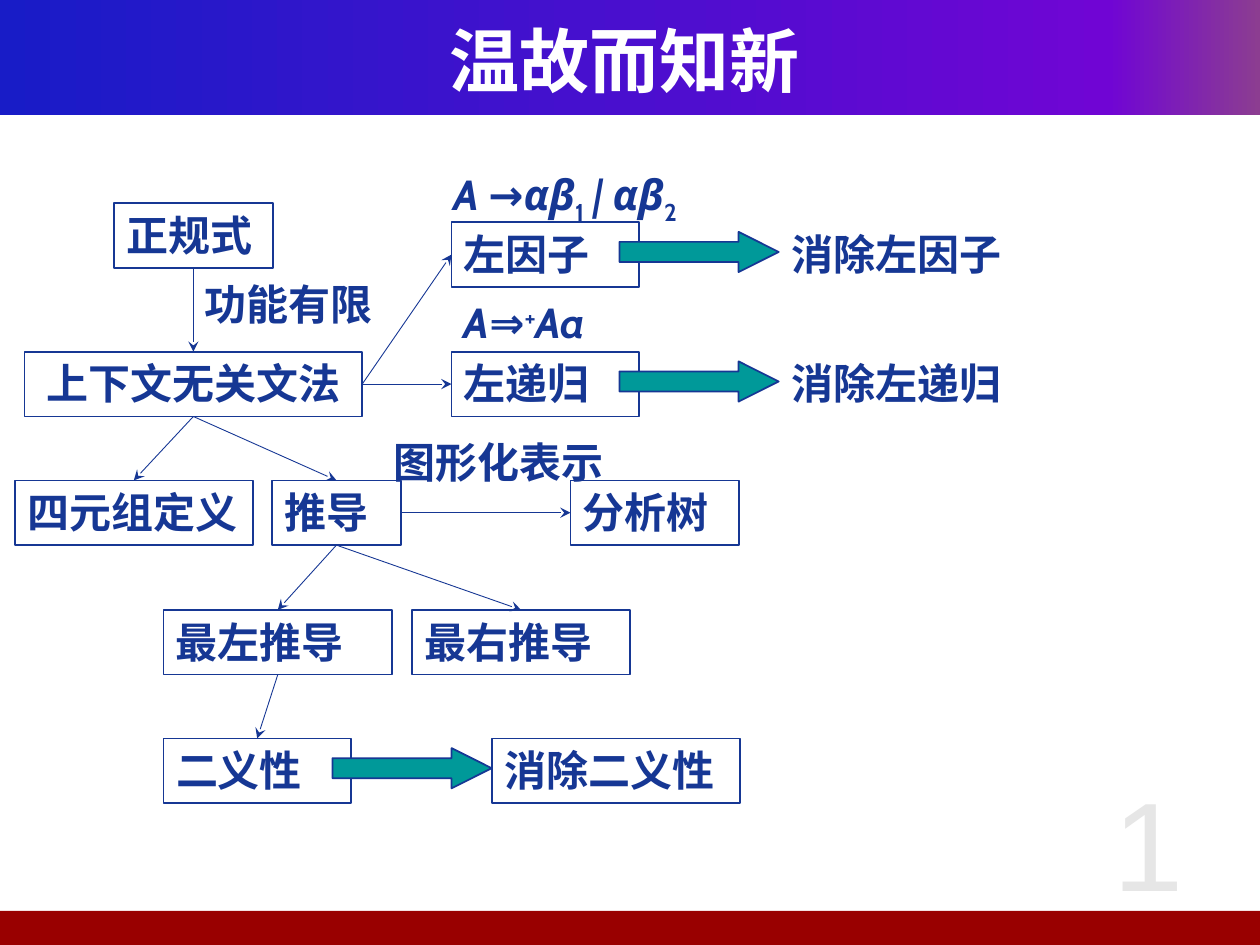
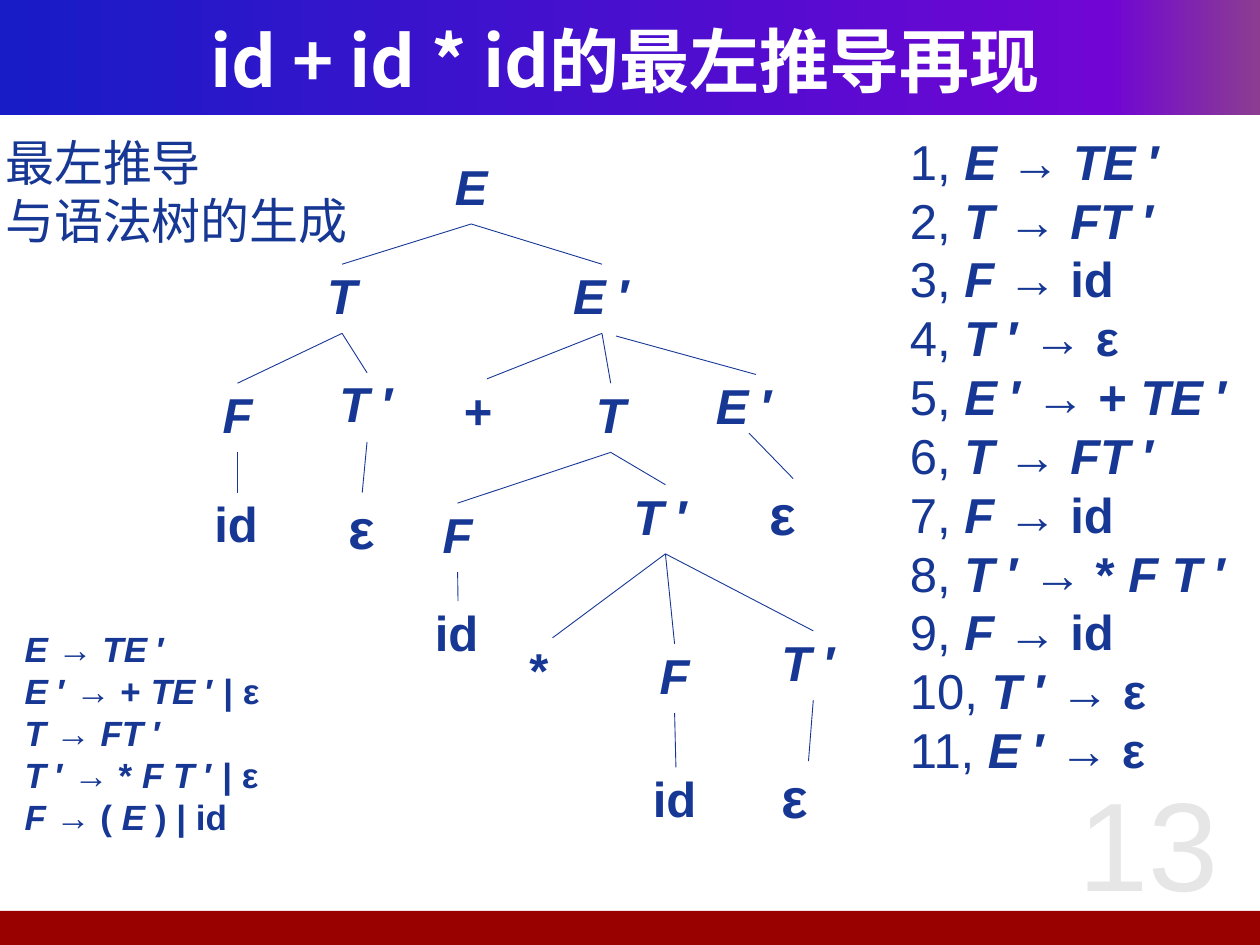
from copy import deepcopy
from itertools import groupby

from lxml import etree
from pptx import Presentation
from pptx.dml.color import RGBColor
from pptx.enum import shapes, text
from pptx.oxml import ns
from pptx.util import Pt

NAVY = RGBColor(0x16, 0x37, 0x94)
TEAL = RGBColor(0x00, 0x99, 0x99)
RED = RGBColor(0x99, 0x00, 0x00)
WHITE = RGBColor(0xFF, 0xFF, 0xFF)
PALE = RGBColor(0xE6, 0xE6, 0xE6)
BAND_STOPS = [(0, RGBColor(0x18, 0x1C, 0xC7)),
              (0.88, RGBColor(0x70, 0x05, 0xD4)),
              (1, RGBColor(0x8C, 0x3D, 0x91))]
CJK = "Noto Sans CJK SC"
LEFT, CENTER = text.PP_ALIGN.LEFT, text.PP_ALIGN.CENTER
RECTANGLE = shapes.MSO_SHAPE.RECTANGLE
TOP, LEFT_SIDE, BOTTOM, RIGHT_SIDE = range(4)  # connection sites of a rectangle


def put_text(holder, paragraphs, size, face, color=NAVY, bold=True, align=LEFT,
             insets=(7.2, 3.6), italics="ETF", anchor=text.MSO_ANCHOR.TOP):
    """Fill a shape; each paragraph is a list of (words, changes) pairs.

    Letters listed in italics are slanted, the others are upright.
    """
    frame = holder.text_frame
    settings = {"word_wrap": True, "auto_size": text.MSO_AUTO_SIZE.NONE,
                "vertical_anchor": anchor,
                "margin_left": Pt(insets[0]), "margin_right": Pt(insets[0]),
                "margin_top": Pt(insets[1]), "margin_bottom": Pt(insets[1])}
    for key, value in settings.items():
        setattr(frame, key, value)
    for index, parts in enumerate(paragraphs):
        paragraph = frame.add_paragraph() if index else frame.paragraphs[0]
        paragraph.alignment = align
        for words, changes in parts:
            for slanted, letters in groupby(words, lambda letter: letter in italics):
                run = paragraph.add_run()
                run.text = "".join(letters)
                look = {"size": Pt(size), "name": face, "bold": bold,
                        "italic": slanted, **changes}
                baseline = look.pop("baseline", None)
                for key, value in look.items():
                    setattr(run.font, key, value)
                run.font.color.rgb = color
                properties = run._r.get_or_add_rPr()
                etree.SubElement(properties, ns.qn("a:ea"), typeface=face)
                if baseline:
                    properties.set("baseline", str(baseline))


def draw_line(slide, start=(0, 0), end=(0, 0)):
    line = slide.shapes.add_connector(shapes.MSO_CONNECTOR.STRAIGHT,
                                      *map(Pt, start + end))
    line.line.color.rgb = NAVY
    line.line.width = Pt(0.5)
    etree.SubElement(line.element.spPr, ns.qn("a:effectLst"))
    return line


deck = Presentation()
deck.slide_width, deck.slide_height = Pt(720), Pt(540)
layout = deck.slide_layouts[5]

# Slides with title and page number
slides = []
for title, page in [("温故而知新", "1"), ("id + id * id的最左推导再现", "13")]:
    slide = deck.slides.add_slide(layout)
    heading = slide.shapes.title
    heading.left, heading.top, heading.width, heading.height = map(Pt, (24, 12, 666, 44.5))
    put_text(heading, [[(title, {})]], 40, CJK, WHITE, align=CENTER,
             anchor=text.MSO_ANCHOR.MIDDLE)
    number = slide.shapes.add_textbox(*map(Pt, (592.5, 434, 127.5, 102)))
    put_text(number, [[(page, {})]], 72, "Arial", PALE, bold=False, align=CENTER)
    slides.append(slide)
review, derivation = slides

# Bands, moved to the shared layout
top_band = review.shapes.add_shape(RECTANGLE, 0, 0, Pt(720), Pt(65.5))
top_band.fill.gradient()
top_band.fill.gradient_angle = 0
stops = top_band.element.find(".//" + ns.qn("a:gsLst"))
stops.append(deepcopy(stops[0]))
for stop, (position, color) in zip(top_band.fill.gradient_stops, BAND_STOPS):
    stop.position = position
    stop.color.rgb = color
bottom_band = review.shapes.add_shape(RECTANGLE, Pt(-3), Pt(520.5), Pt(723), Pt(19.5))
bottom_band.fill.solid()
bottom_band.fill.fore_color.rgb = RED
for band in (top_band, bottom_band):
    band.shadow.inherit = False
    band.line.fill.background()
    layout.shapes.element.insert(2, band.element)

# Slide 1: map of concepts
BOX_HEIGHT = 37
concepts = {}
for name, left, top, width in [
        ("正规式", 65, 116, 91), ("上下文无关文法", 14, 201, 193),
        ("四元组定义", 8.5, 274.5, 136), ("推导", 155.5, 274.5, 73.5),
        ("分析树", 326, 274.5, 96.5), ("最左推导", 93.5, 348.5, 130.5),
        ("最右推导", 235.5, 348.5, 124.5), ("二义性", 93.5, 422, 107),
        ("消除二义性", 281, 422, 142), ("左递归", 258, 201, 107),
        ("左因子", 258, 127, 107)]:
    concept = review.shapes.add_shape(RECTANGLE, *map(Pt, (left, top, width, BOX_HEIGHT)))
    concept.shadow.inherit = False
    concept.fill.background()
    concept.line.color.rgb = NAVY
    concept.line.width = Pt(1)
    put_text(concept, [[(name, {})]], 24, "Cabin",
             align=CENTER if name == "上下文无关文法" else LEFT)
    concepts[name] = concept

factor_form = [("A →αβ", {}), ("1", {"baseline": -25000}), (" | αβ", {}),
               ("2", {"baseline": -25000})]
recursion_form = [("A⇒", {}), ("+", {"baseline": 30000}), ("Aa", {})]
for words, left, top, width in [
        ([("功能有限", {})], 110, 155.5, 124.5),
        ([("图形化表示", {})], 218, 246, 142),
        ([("消除左递归", {})], 445, 201, 152.5),
        ([("消除左因子", {})], 445, 127, 142),
        (factor_form, 252, 93, 168), (recursion_form, 258, 166, 106)]:
    note = review.shapes.add_textbox(*map(Pt, (left, top, width, 36)))
    put_text(note, [words], 24, "Cabin", italics="Aαβa|")

for left, top in [(190, 427.5), (354, 206.5), (354, 132.5)]:
    remedy = review.shapes.add_shape(shapes.MSO_SHAPE.RIGHT_ARROW,
                                     *map(Pt, (left, top, 91, 23)))
    remedy.adjustments[1] = 0.996
    remedy.shadow.inherit = False
    remedy.fill.solid()
    remedy.fill.fore_color.rgb = TEAL
    remedy.line.color.rgb = NAVY
    remedy.line.width = Pt(1)

down, across = (BOTTOM, TOP), (RIGHT_SIDE, LEFT_SIDE)
for source, target, (leave, enter) in [
        ("正规式", "上下文无关文法", down), ("上下文无关文法", "四元组定义", down),
        ("上下文无关文法", "推导", down), ("上下文无关文法", "左因子", across),
        ("上下文无关文法", "左递归", across), ("推导", "分析树", across),
        ("推导", "最左推导", down), ("推导", "最右推导", down),
        ("最左推导", "二义性", down)]:
    link = draw_line(review)
    link.begin_connect(concepts[source], leave)
    link.end_connect(concepts[target], enter)
    etree.SubElement(link.line._get_or_add_ln(), ns.qn("a:tailEnd"), type="stealth")

# Slide 2: syntax tree; each node is (symbol, left, top, width, height, align, parent)
nodes = [
    ("E", 252, 88.5, 34.5, 39.5, CENTER, None),
    ("T", 178.5, 151, 34, 39.5, CENTER, 0),
    ("E ′", 320.5, 151, 47, 39.5, CENTER, 0),
    ("F", 116, 219, 39.5, 39.5, CENTER, 1),
    ("T ′", 190, 213, 39.5, 39.5, CENTER, 1),
    ("+", 263.5, 216.5, 29.5, 36, LEFT, 2),
    ("T", 332, 219, 34, 39.5, CENTER, 2),
    ("E ′", 407.5, 214, 49, 39.5, LEFT, 2),
    ("id", 121, 281.5, 29.5, 36, LEFT, 3),
    ("ε", 190, 281.5, 34, 39.5, CENTER, 4),
    ("F", 247.5, 287.5, 28, 39.5, CENTER, 6),
    ("T ′", 360.5, 277, 39.5, 39.5, LEFT, 6),
    ("ε", 438.5, 273.5, 29.5, 36, LEFT, 7),
    ("id", 247, 343.5, 29.5, 36, LEFT, 10),
    ("*", 301, 364.5, 29.5, 36, LEFT, 11),
    ("F", 368.5, 368, 34, 39.5, CENTER, 11),
    ("T ′", 445, 360.5, 39.5, 39.5, LEFT, 11),
    ("id", 371.5, 438.5, 29.5, 36, LEFT, 15),
    ("ε", 445, 435, 34, 34, LEFT, 16),
]
shifted_starts = {7: (352, 192), 12: (428, 247.5)}
for index, (symbol, left, top, width, height, align, parent) in enumerate(nodes):
    node = derivation.shapes.add_textbox(*map(Pt, (left, top, width, height)))
    put_text(node, [[(symbol, {})]], 32 if symbol == "ε" else 28, "Arial",
             align=align, insets=(1.5, 0.7))
    if parent is not None:
        _, x, y, w, h, *_ = nodes[parent]
        start = shifted_starts.get(index, (x + w / 2, y + h))
        draw_line(derivation, start, (left + width / 2, top))

caption = derivation.shapes.add_textbox(*map(Pt, (3, 72, 210, 75.5)))
put_text(caption, [[("最左推导", {})], [("与语法树的生成", {})]], 28, CJK,
         bold=False, insets=(0, 3.6))
for paragraph in caption.text_frame.paragraphs:
    paragraph.line_spacing = Pt(33.5)

steps = ["E → TE ′", "T → FT ′", "F → id", "T ′ → ε", "E ′ → + TE ′", "T → FT ′",
         "F → id", "T ′ → * F T ′", "F → id", "T ′ → ε", "E ′ → ε"]
step_list = derivation.shapes.add_textbox(*map(Pt, (520, 71.5, 191.5, 377)))
put_text(step_list, [[(f"{count}, ", {"bold": False}), (step, {})]
                     for count, step in enumerate(steps, 1)],
         28, "Arial", insets=(0, 3.6))

grammar = ["E → TE ′", "E ′ → + TE ′ | ε", "T → FT ′", "T ′ → * F T ′ | ε",
           "F → ( E ) | id"]
grammar_list = derivation.shapes.add_textbox(*map(Pt, (14, 355, 161.5, 129)))
put_text(grammar_list, [[(rule, {})] for rule in grammar], 20, "Arial", insets=(0, 3.6))

deck.save("out.pptx")
